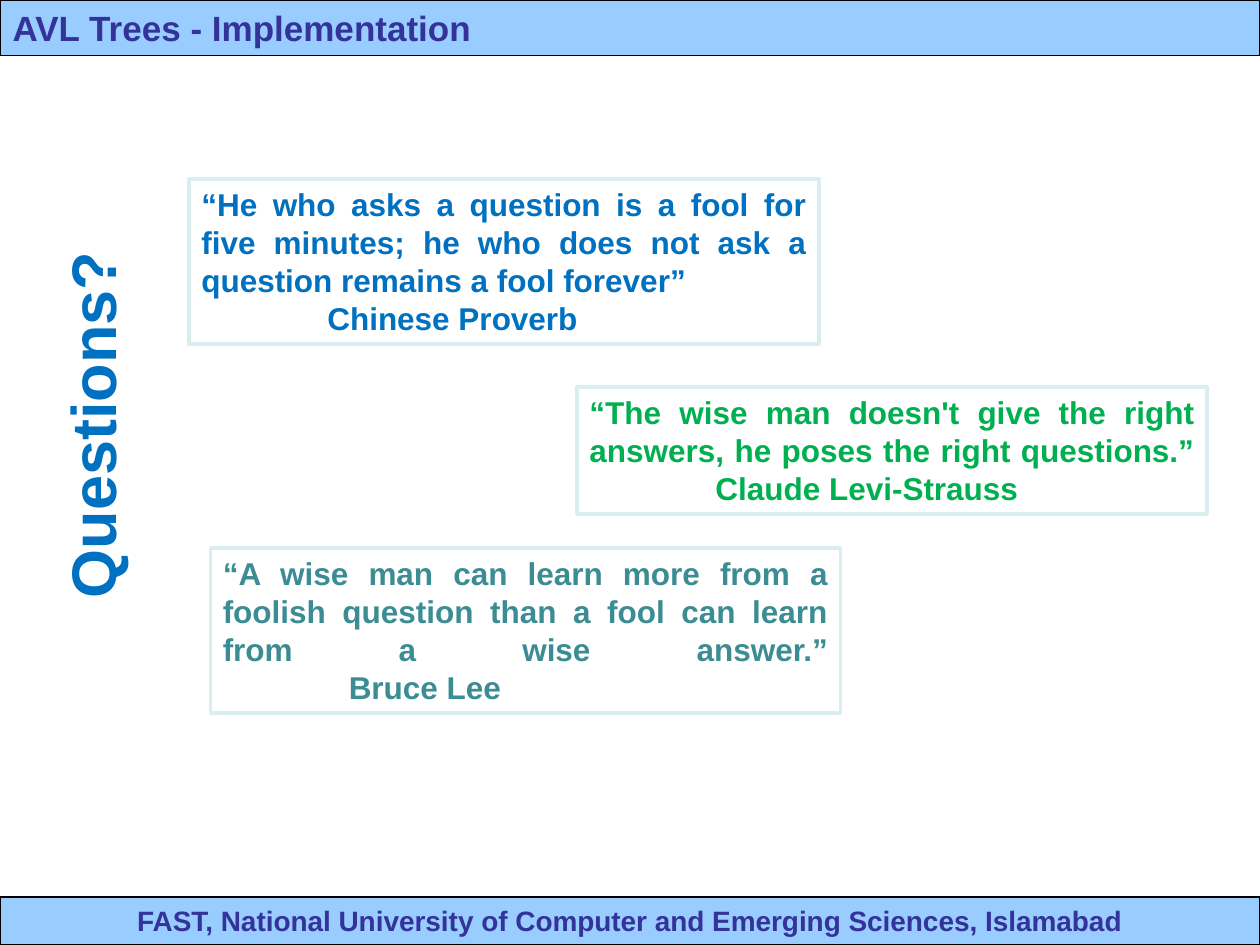
from dataclasses import dataclass

from pptx import Presentation
from pptx import util as u
from pptx.dml.color import RGBColor
from pptx.enum import shapes, text

WIDTH, HEIGHT = u.Inches(10), u.Inches(7.5)
FONT = "Arial"
BLACK = RGBColor(0x00, 0x00, 0x00)
WHITE = RGBColor(0xFF, 0xFF, 0xFF)
BAR_BLUE = RGBColor(0x99, 0xCC, 0xFF)
NAVY = RGBColor(0x33, 0x33, 0x99)
BLUE = RGBColor(0x00, 0x70, 0xC0)
GREEN = RGBColor(0x00, 0xB0, 0x50)
TEAL = RGBColor(0x3C, 0x8C, 0x93)
PALE_TEAL = RGBColor(0xDA, 0xED, 0xEF)


@dataclass(frozen=True)
class Quote:
    """A boxed quotation; a "\\v" before the author is a line break, a "\\n" a new paragraph."""
    left: float
    top: float
    height: float
    color: RGBColor
    words: str


QUOTES = (
    Quote(1.5, 1.42, 1.31, BLUE,
          "“He who asks a question is a fool for five minutes; he who does not ask "
          "a question remains a fool forever”\n\t\tChinese Proverb"),
    Quote(1.67, 4.35, 1.31, TEAL,
          "“A wise man can learn more from a foolish question than a fool can learn "
          "from a wise answer.”\v\t\tBruce Lee"),
    Quote(4.58, 3.07, 1.01, GREEN,
          "“The wise man doesn't give the right answers, he poses the right "
          "questions.”\v\t\tClaude Levi-Strauss"),
)


def place(shape, left: float, top: float, width: float, height: float) -> None:
    shape.left, shape.top = u.Inches(left), u.Inches(top)
    shape.width, shape.height = u.Inches(width), u.Inches(height)


def paint(shape, fill: RGBColor, line: RGBColor, line_width: float) -> None:
    shape.fill.solid()
    shape.fill.fore_color.rgb = fill
    shape.line.color.rgb = line
    shape.line.width = u.Pt(line_width)


def write(shape, words: str, size: int, color: RGBColor, alignment, wrap: bool = True) -> None:
    frame = shape.text_frame
    frame.text = words
    frame.word_wrap = wrap
    frame.auto_size = text.MSO_AUTO_SIZE.NONE
    frame.vertical_anchor = text.MSO_ANCHOR.TOP
    for paragraph in frame.paragraphs:
        paragraph.alignment = alignment
        for run in paragraph.runs:
            run.font.name = FONT
            run.font.size = u.Pt(size)
            run.font.bold = True
            run.font.color.rgb = color


def add_rectangle(slide):
    shape = slide.shapes.add_shape(shapes.MSO_SHAPE.RECTANGLE, 0, 0, 0, 0)
    shape.shadow.inherit = False
    return shape


def format_bar(bar, top: float, height: float, words: str, size: int, alignment) -> None:
    place(bar, 0, top, 10, height)
    paint(bar, BAR_BLUE, BLACK, 0.75)
    write(bar, words, size, NAVY, alignment)


def add_quote(slide, quote: Quote) -> None:
    box = add_rectangle(slide)
    place(box, quote.left, quote.top, 5, quote.height)
    paint(box, WHITE, PALE_TEAL, 2)
    write(box, quote.words, 18, quote.color, text.PP_ALIGN.JUSTIFY)


def main() -> None:
    presentation = Presentation()
    presentation.slide_width, presentation.slide_height = WIDTH, HEIGHT
    slide = presentation.slides.add_slide(presentation.slide_layouts[5])

    format_bar(slide.shapes.title, 0, 0.44, "AVL Trees - Implementation", 20,
               text.PP_ALIGN.LEFT)
    format_bar(add_rectangle(slide), 7.12, 0.38,
               "FAST, National University of Computer and Emerging Sciences, Islamabad",
               16, text.PP_ALIGN.CENTER)

    heading = slide.shapes.add_textbox(0, 0, 0, 0)
    place(heading, -0.76, 3, 2.98, 0.71)
    heading.rotation = 270
    write(heading, "Questions?", 36, BLUE, text.PP_ALIGN.LEFT, wrap=False)

    for quote in QUOTES:
        add_quote(slide, quote)

    presentation.save("out.pptx")


if __name__ == "__main__":
    main()
